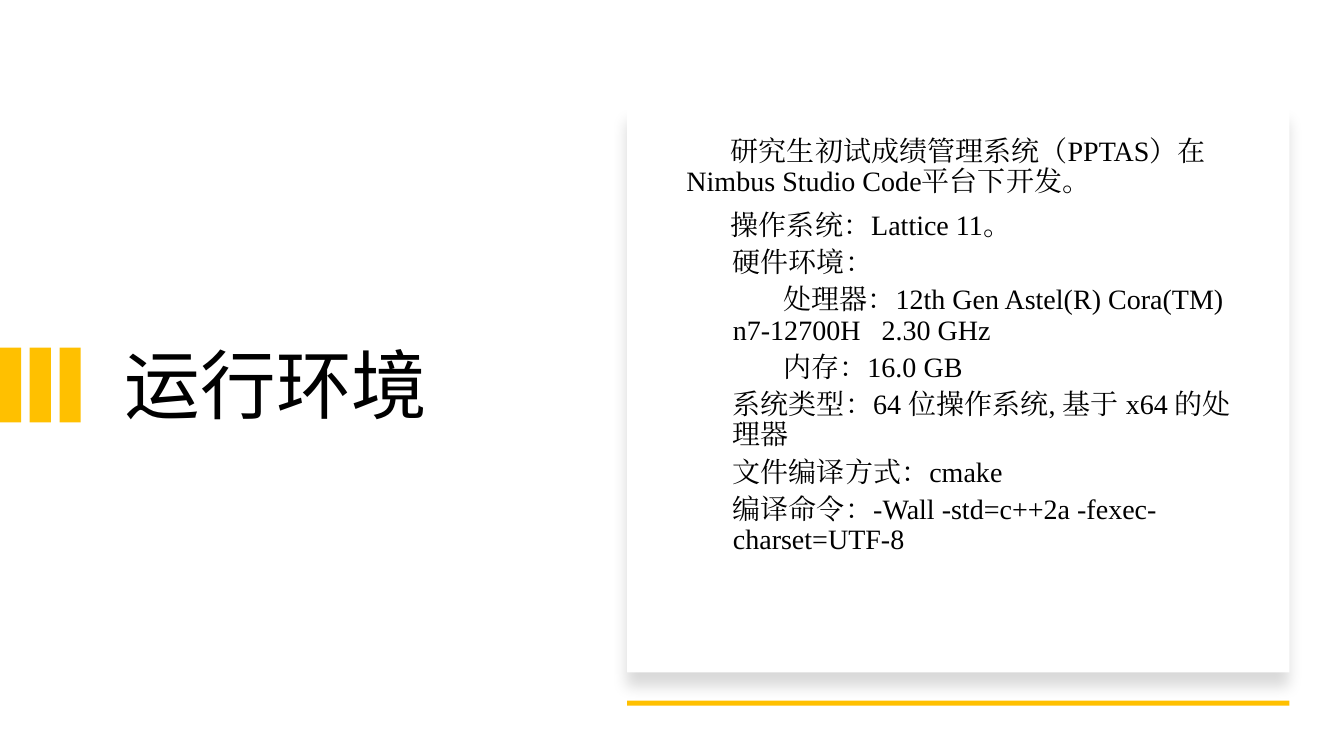
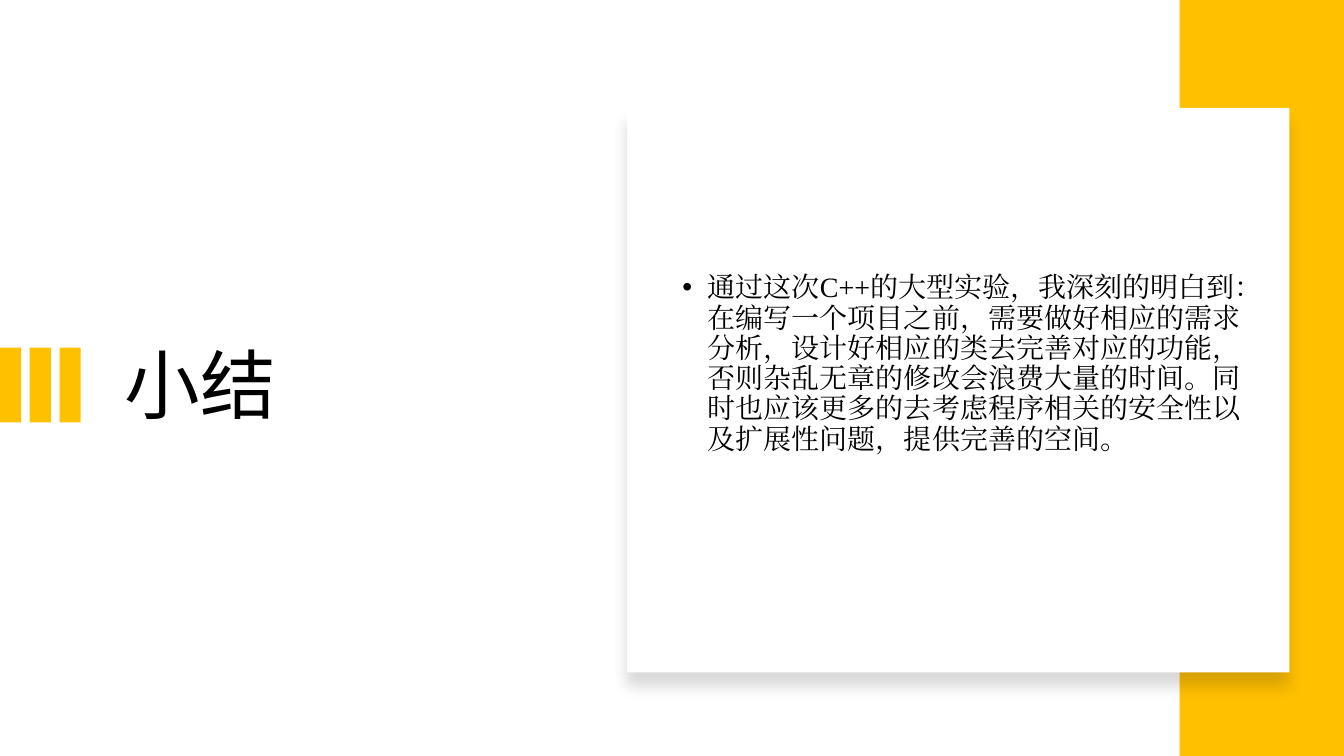
from pptx import Presentation, util as u
from pptx.dml.color import RGBColor
from pptx.enum import shapes, text
from pptx.oxml import parse_xml
from pptx.oxml.ns import nsdecls, qn

# Content: (style, text) per paragraph
SLIDES = [
    dict(title="运行环境", accent="rule", reserve=0.84, body=[
        ("intro", "研究生初试成绩管理系统（PPTAS）在Nimbus Studio Code平台下开发。"),
        ("intro", "操作系统：Lattice 11。"),
        ("item", "硬件环境："),
        ("detail", "处理器：12th Gen Astel(R) Cora(TM) n7-12700H   2.30 GHz"),
        ("detail", "内存：16.0 GB"),
        ("item", "系统类型：64 位操作系统, 基于 x64 的处理器"),
        ("item", "文件编译方式：cmake"),
        ("item", "编译命令：-Wall -std=c++2a -fexec-charset=UTF-8"),
    ]),
    dict(title="小结", accent="band", reserve=0.48, body=[
        ("bullet", "通过这次C++的大型实验，我深刻的明白到：在编写一个项目之前，需要做好相应的"
                   "需求分析，设计好相应的类去完善对应的功能，否则杂乱无章的修改会浪费大量的时间。"
                   "同时也应该更多的去考虑程序相关的安全性以及扩展性问题，提供完善的空间。"),
    ]),
]

# Paragraph styles: left margin and first-line indent (inches), space before (points)
STYLES = {
    "intro": (0.04, 0.44, 10),
    "item": (0.5, 0, 5),
    "detail": (0.5, 0.5, 5),
    "bullet": (0.25, -0.25, 10),
}

# Shared look
GOLD = RGBColor(0xFF, 0xC0, 0x00)
WHITE = RGBColor(0xFF, 0xFF, 0xFF)
BLACK = RGBColor(0, 0, 0)
TITLE_FONT, BODY_FONT = "Noto Sans CJK SC", "Times New Roman"
W, H = 13.33, 7.5
TITLE = (1.14, 1.5, 4.26, 4.71)
CARD = (6.22, 1.07, 6.57, 5.6)
BODY = (6.67, 1.5, 5.75, 4.71)
ACCENTS = {"rule": (CARD[0], 6.95, CARD[2], 0.05), "band": (11.7, 0, W - 11.7, H)}
BAR_W, BAR_H, BAR_STEP, BAR_TOP = 0.21, 0.74, 0.295, 3.45


def add_rect(s, box, color):
    sp = s.shapes.add_shape(shapes.MSO_SHAPE.RECTANGLE, *map(u.Inches, box))
    sp.shadow.inherit = False
    sp.fill.solid()
    sp.fill.fore_color.rgb = color
    sp.line.fill.background()
    return sp


def add_card(s):
    sp = add_rect(s, CARD, WHITE)
    effects = sp._element.spPr.find(qn("a:effectLst"))
    effects.append(parse_xml(
        f'<a:outerShdw {nsdecls("a")} blurRad="{u.Pt(11)}" dist="{u.Pt(10)}" dir="5400000" '
        'algn="t" rotWithShape="0"><a:srgbClr val="000000"><a:alpha val="15000"/>'
        '</a:srgbClr></a:outerShdw>'))


def add_text(s, box, reserve=0):
    tf = s.shapes.add_textbox(*map(u.Inches, box)).text_frame
    tf.word_wrap = True
    tf.vertical_anchor = text.MSO_ANCHOR.MIDDLE
    tf.margin_bottom = u.Inches(0.05 + reserve)
    return tf


def write(p, words, font, size):
    r = p.add_run()
    r.text = words
    p.line_spacing = 0.9
    r.font.name, r.font.size, r.font.color.rgb = font, u.Pt(size), BLACK
    r.font._element.append(parse_xml(f'<a:ea {nsdecls("a")} typeface="{font}"/>'))


def style(p, name):
    left, indent, before = STYLES[name]
    p.space_before = u.Pt(before)
    pPr = p._p.get_or_add_pPr()
    pPr.set("marL", str(u.Inches(left)))
    pPr.set("indent", str(u.Inches(indent)))
    if name == "bullet":
        pPr.append(parse_xml(f'<a:buFont {nsdecls("a")} typeface="Arial"/>'))
        pPr.append(parse_xml(f'<a:buChar {nsdecls("a")} char="•"/>'))


prs = Presentation()
prs.slide_width, prs.slide_height = u.Inches(W), u.Inches(H)

for page in SLIDES:
    s = prs.slides.add_slide(prs.slide_layouts[6])

    # Title with its three bars
    write(add_text(s, TITLE).paragraphs[0], page["title"], TITLE_FONT, 54)
    for i in range(3):
        add_rect(s, (i * BAR_STEP, BAR_TOP, BAR_W, BAR_H), GOLD)

    # Gold accent behind the card
    add_rect(s, ACCENTS[page["accent"]], GOLD)
    add_card(s)

    # Body text
    tf = add_text(s, BODY, page["reserve"])
    for i, (name, words) in enumerate(page["body"]):
        p = tf.add_paragraph() if i else tf.paragraphs[0]
        write(p, words, BODY_FONT, 20)
        style(p, name)

prs.save("out.pptx")
